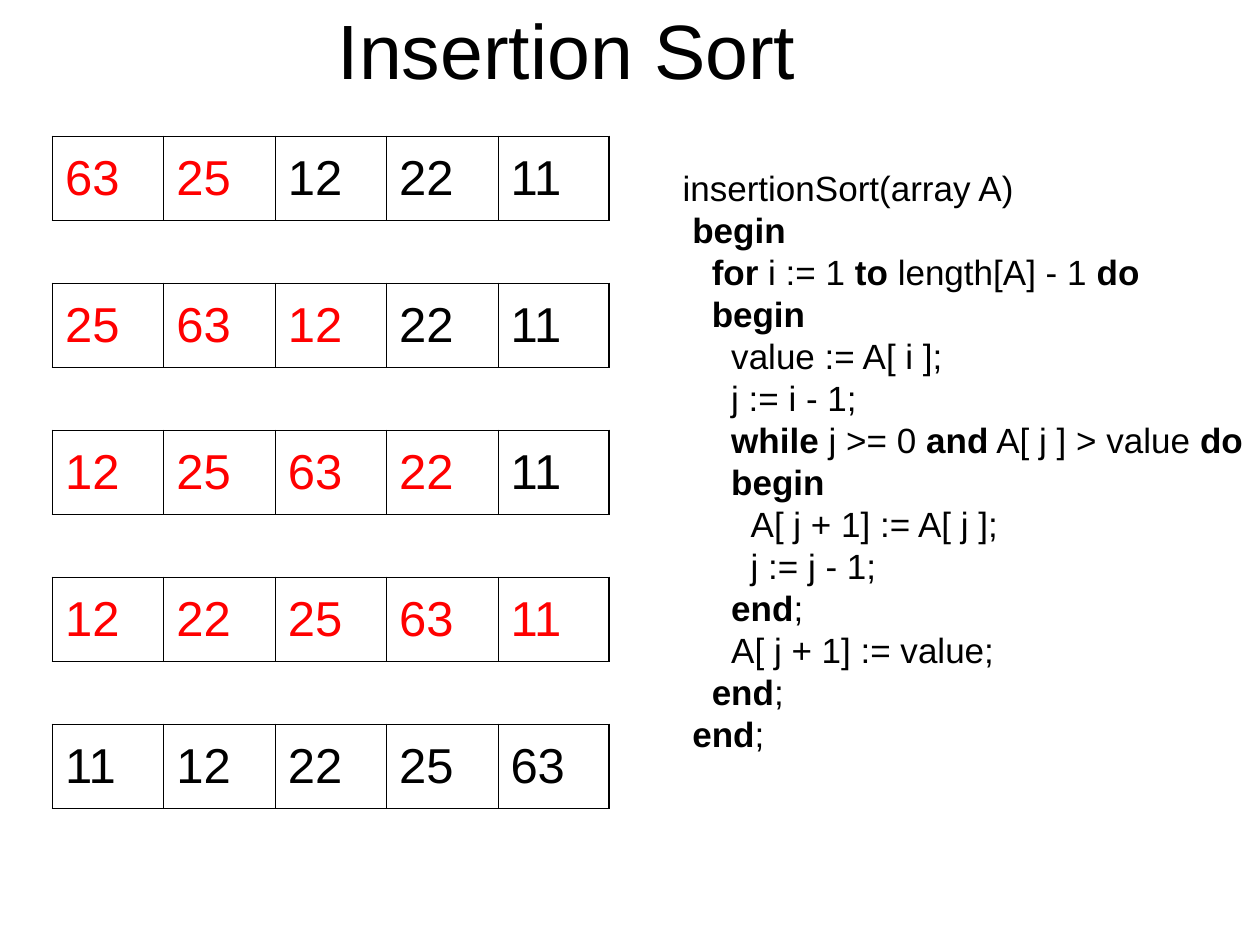
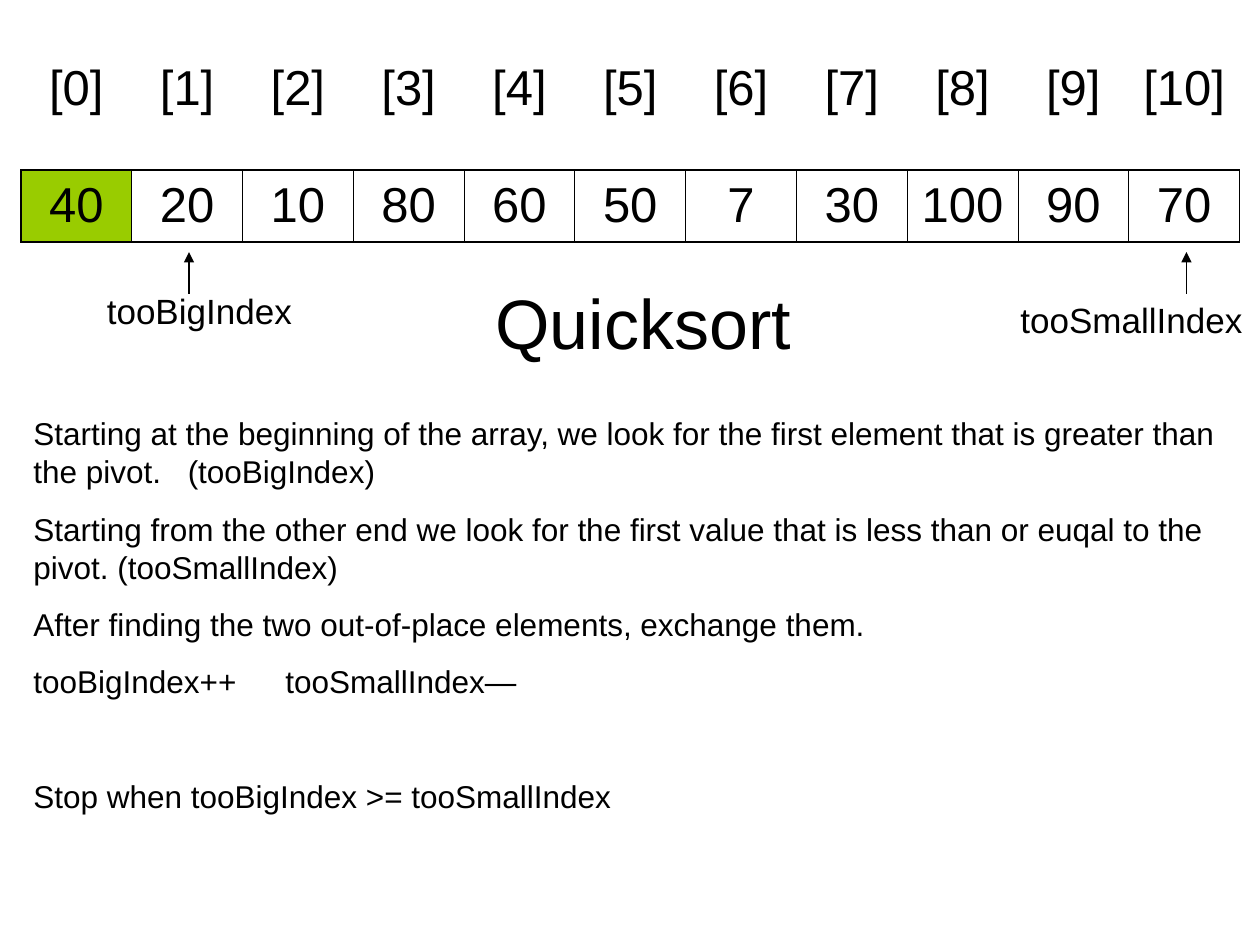
from lxml import etree
from pptx import Presentation
from pptx.dml.color import RGBColor
from pptx.enum.shapes import MSO_CONNECTOR
from pptx.enum.text import MSO_ANCHOR, PP_ALIGN
from pptx.oxml.ns import qn
from pptx.util import Pt

STRAIGHT = MSO_CONNECTOR.STRAIGHT
TOP, MIDDLE = MSO_ANCHOR.TOP, MSO_ANCHOR.MIDDLE
LEFT, CENTER = PP_ALIGN.LEFT, PP_ALIGN.CENTER

COLORS = {"text": "000000", "active": "FF0000", "pivot": "99CC00"}
FONT = "Arial"
LINE_FACTOR = 1.2
CELL_SIZE = 28
OUTER_BORDER, INNER_BORDER = 1.08, 0.45

# Values of each pass and how many leading cells are highlighted
SORT_PASSES = [
    ([63, 25, 12, 22, 11], 2),
    ([25, 63, 12, 22, 11], 3),
    ([12, 25, 63, 22, 11], 4),
    ([12, 22, 25, 63, 11], 5),
    ([11, 12, 22, 25, 63], 0),
]

# Indent in spaces and text of each line; asterisks enclose bold words
PSEUDOCODE = [
    (0, "insertionSort(array A)"),
    (1, "*begin*"),
    (3, "*for* i := 1 *to* length[A] - 1 *do*"),
    (3, "*begin*"),
    (5, "value := A[ i ];"),
    (5, "j := i - 1;"),
    (5, "*while* j >= 0 *and* A[ j ] > value *do*"),
    (5, "*begin*"),
    (7, "A[ j + 1] := A[ j ];"),
    (7, "j := j - 1;"),
    (5, "*end*;"),
    (5, "A[ j + 1] := value;"),
    (3, "*end*;"),
    (1, "*end*;"),
]
SPACE_WIDTH = 5.56

QUICKSORT_ARRAY = [40, 20, 10, 80, 60, 50, 7, 30, 100, 90, 70]

# Space before and text of each step
QUICKSORT_STEPS = [
    (0, "Starting at the beginning of the array, we look for the first element "
        "that is greater than the pivot.\t(tooBigIndex)"),
    (11.25, "Starting from the other end we look for the first value that is "
            "less than or euqal to the pivot. (tooSmallIndex)"),
    (11.25, "After finding the two out-of-place elements, exchange them."),
    (11.25, "tooBigIndex++\ttooSmallIndex—"),
    (44.1, "Stop when tooBigIndex >= tooSmallIndex"),
]
STEP_TABS = [88.2, 144]


def rgb(name):
    return RGBColor.from_string(COLORS[name])


def add_run(p, text, size, color="text", bold=False):
    r = p.add_run()
    r.text = text
    r.font.color.rgb = rgb(color)
    for name, value in {"name": FONT, "size": Pt(size), "bold": bold}.items():
        setattr(r.font, name, value)


def add_frame(s, left, top, width, height, anchor=TOP, wrap=True):
    tf = s.shapes.add_textbox(Pt(left), Pt(top), Pt(width), Pt(height)).text_frame
    tf.word_wrap = wrap
    tf.vertical_anchor = anchor
    return tf


def next_paragraph(tf, size):
    """Return the empty first paragraph or a new one, with its line pitch set."""
    p = tf.add_paragraph() if tf.paragraphs[0].runs else tf.paragraphs[0]
    p.line_spacing = Pt(size * LINE_FACTOR)
    return p


def add_label(s, text, size, box, align=LEFT, anchor=TOP):
    p = next_paragraph(add_frame(s, *box, anchor=anchor), size)
    p.alignment = align
    add_run(p, text, size)


def add_code(s, lines, size, box):
    tf = add_frame(s, *box, anchor=MIDDLE, wrap=False)
    for spaces, line in lines:
        p = next_paragraph(tf, size)
        p._p.get_or_add_pPr().set("marL", str(Pt(spaces * SPACE_WIDTH)))
        for i, part in enumerate(line.split("*")):
            if part:
                add_run(p, part, size, bold=i % 2 == 1)


def set_tabs(p, stops):
    pPr = p._p.get_or_add_pPr()
    tab_list = etree.SubElement(pPr, qn("a:tabLst"))
    for stop in stops:
        etree.SubElement(tab_list, qn("a:tab"), pos=str(Pt(stop)), algn="l")


def add_steps(s, steps, size, box):
    tf = add_frame(s, *box)
    for space, text in steps:
        p = next_paragraph(tf, size)
        p.space_before = Pt(space)
        set_tabs(p, STEP_TABS)
        add_run(p, text, size)


def set_borders(cell, widths):
    tcPr = cell._tc.get_or_add_tcPr()
    for side, width in widths.items():
        ln = etree.SubElement(tcPr, qn(f"a:ln{side}"), w=str(Pt(width)))
        fill = etree.SubElement(ln, qn("a:solidFill"))
        etree.SubElement(fill, qn("a:srgbClr"), val=COLORS["text"])


def add_array(s, values, left, top, col_width, height, align=LEFT,
              active=0, pivot=None, bordered=True):
    """Draw a one-row table; the first `active` values are highlighted."""
    count = len(values)
    table = s.shapes.add_table(1, count, Pt(left), Pt(top),
                               Pt(col_width * count), Pt(height)).table
    table.first_row = table.horz_banding = False
    for i, value in enumerate(values):
        table.columns[i].width = Pt(col_width)
        cell = table.cell(0, i)
        cell.vertical_anchor = MIDDLE
        if bordered:
            set_borders(cell, {
                "L": OUTER_BORDER if i == 0 else INNER_BORDER,
                "R": OUTER_BORDER if i == count - 1 else INNER_BORDER,
                "T": OUTER_BORDER,
                "B": OUTER_BORDER,
            })
        if i == pivot:
            cell.fill.solid()
            cell.fill.fore_color.rgb = rgb("pivot")
        else:
            cell.fill.background()
        p = cell.text_frame.paragraphs[0]
        p.alignment = align
        add_run(p, str(value), CELL_SIZE, "active" if i < active else "text")


def add_up_arrow(s, x, bottom, top):
    line = s.shapes.add_connector(STRAIGHT, Pt(x), Pt(bottom), Pt(x), Pt(top))
    line.line.color.rgb = rgb("text")
    line.line.width = Pt(0.75)
    etree.SubElement(line.line._get_or_add_ln(), qn("a:tailEnd"), type="triangle")
    etree.SubElement(line._element.spPr, qn("a:effectLst"))


def build_insertion_sort(s):
    add_label(s, "Insertion Sort", 44, (0, -3.6, 648, 63), CENTER, MIDDLE)
    add_code(s, PSEUDOCODE, 20, (383, 91.4, 335.5, 343.4))
    for i, (values, active) in enumerate(SORT_PASSES):
        add_array(s, values, 30, 78 + 84 * i, 63.65, 48, active=active)


def build_quicksort(s):
    grid = {"left": 12, "col_width": 63.3, "height": 41, "align": CENTER}
    indexes = [f"[{i}]" for i in range(len(QUICKSORT_ARRAY))]
    add_array(s, QUICKSORT_ARRAY, top=97.2, pivot=0, **grid)
    add_array(s, indexes, top=30, bordered=False, **grid)
    add_steps(s, QUICKSORT_STEPS, 18, (12, 233.3, 696, 236))
    add_label(s, "tooBigIndex", 20, (54, 162, 144, 31.7))
    add_label(s, "tooSmallIndex", 20, (576, 167, 168, 31.7))
    for x in (108, 678):
        add_up_arrow(s, x, 168, 144)
    add_label(s, "Quicksort", 40, (276, 156, 252, 55.4))


def main():
    prs = Presentation()
    prs.slide_width, prs.slide_height = Pt(720), Pt(540)
    blank = prs.slide_layouts[6]
    for build in (build_insertion_sort, build_quicksort):
        build(prs.slides.add_slide(blank))
    prs.save("out.pptx")


if __name__ == "__main__":
    main()
